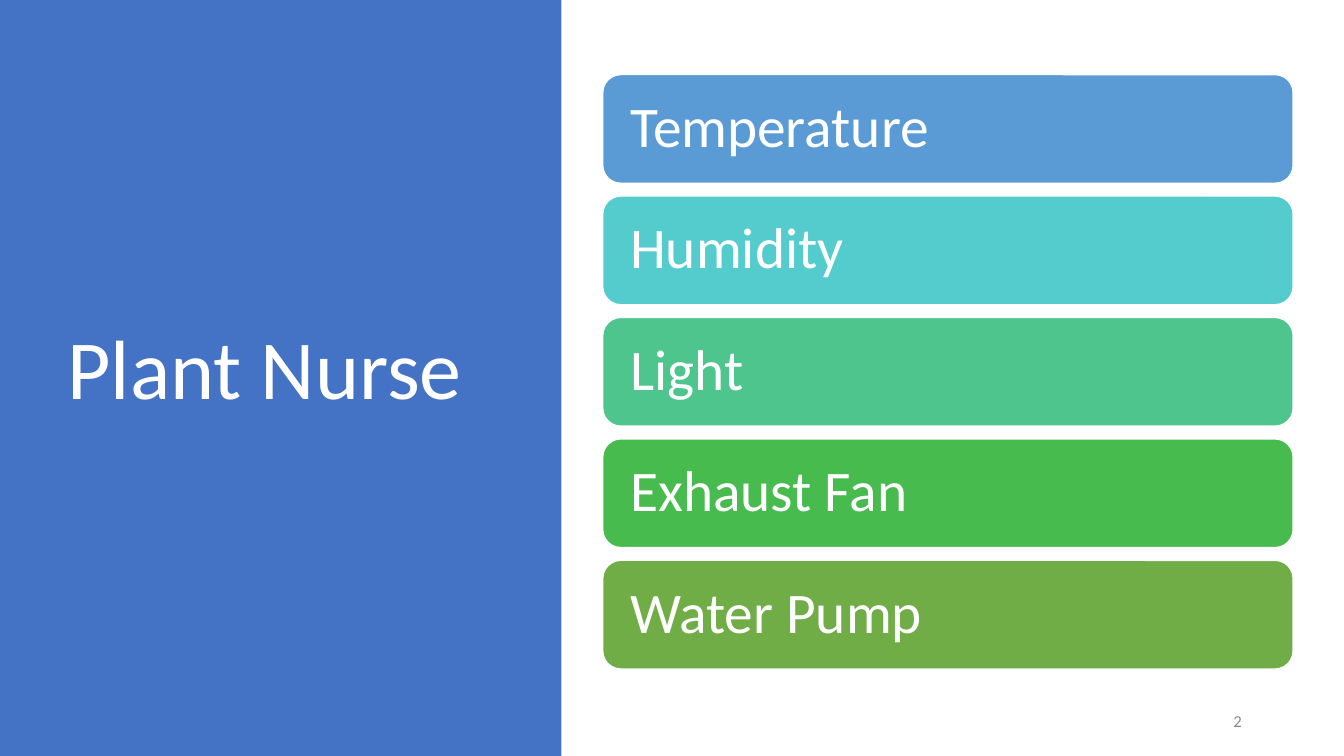
from dataclasses import dataclass

import pptx
import pptx.dml.color
import pptx.enum.shapes
import pptx.enum.text
import pptx.util

Cm = pptx.util.Cm
Align = pptx.enum.text.PP_ALIGN
Preset = pptx.enum.shapes.MSO_SHAPE


@dataclass(frozen=True)
class Theme:
    font: str = "Calibri"
    white: str = "FFFFFF"
    panel: str = "4472C4"
    page_number: str = "8C8C8C"
    title_size: int = 60
    topic_size: int = 41
    page_number_size: int = 12


THEME = Theme()
TOPICS = [
    ("Temperature", "5B9BD5"),
    ("Humidity", "54CCCD"),
    ("Light", "4DC58D"),
    ("Exhaust Fan", "48BB4F"),
    ("Water Pump", "70AD47"),
]
TOPIC_TOP = 1.88
TOPIC_HEIGHT = 2.74
TOPIC_GAP = 0.32


def rgb(color):
    return pptx.dml.color.RGBColor.from_string(color)


def write_text(shape, text, size, color, alignment=Align.LEFT, line_spacing=1.0):
    frame = shape.text_frame
    frame.word_wrap = True
    frame.auto_size = pptx.enum.text.MSO_AUTO_SIZE.NONE
    frame.vertical_anchor = pptx.enum.text.MSO_ANCHOR.MIDDLE
    paragraph = frame.paragraphs[0]
    paragraph.alignment = alignment
    paragraph.line_spacing = line_spacing
    run = paragraph.add_run()
    run.text = text
    run.font.name = THEME.font
    run.font.size = pptx.util.Pt(size)
    run.font.color.rgb = rgb(color)


def add_block(slide, preset, left, top, width, height, color):
    shape = slide.shapes.add_shape(preset, Cm(left), Cm(top), Cm(width), Cm(height))
    shape.shadow.inherit = False
    shape.fill.solid()
    shape.fill.fore_color.rgb = rgb(color)
    shape.line.fill.background()
    return shape


def add_title_panel(slide, text):
    title = slide.shapes.title
    panel = add_block(slide, Preset.RECTANGLE, 0, 0, 14.15, 19.05, THEME.panel)
    title.element.addprevious(panel.element)
    title.left, title.top = Cm(1.45), Cm(1.73)
    title.width, title.height = Cm(10.57), Cm(15.29)
    write_text(title, text, THEME.title_size, THEME.white, line_spacing=0.9)


def add_topic(slide, top, text, color):
    bar = add_block(slide, Preset.ROUNDED_RECTANGLE, 15.19, top, 17.4, TOPIC_HEIGHT, color)
    bar.line.color.rgb = rgb(THEME.white)
    bar.line.width = pptx.util.Pt(1)
    bar.text_frame.margin_left = Cm(0.56)
    write_text(bar, text, THEME.topic_size, THEME.white, line_spacing=0.9)


def add_page_number(slide, text):
    box = slide.shapes.add_textbox(Cm(23.93), Cm(17.65), Cm(7.62), Cm(1.02))
    write_text(box, text, THEME.page_number_size, THEME.page_number, Align.RIGHT)
    box.text_frame.paragraphs[0].space_after = pptx.util.Pt(6)


def main():
    presentation = pptx.Presentation()
    presentation.slide_width = Cm(33.87)
    presentation.slide_height = Cm(19.05)
    slide = presentation.slides.add_slide(presentation.slide_layouts.get_by_name("Title Only"))
    add_title_panel(slide, "Plant Nurse")
    add_page_number(slide, "2")
    for index, (text, color) in enumerate(TOPICS):
        add_topic(slide, TOPIC_TOP + index * (TOPIC_HEIGHT + TOPIC_GAP), text, color)
    presentation.save("out.pptx")


main()
